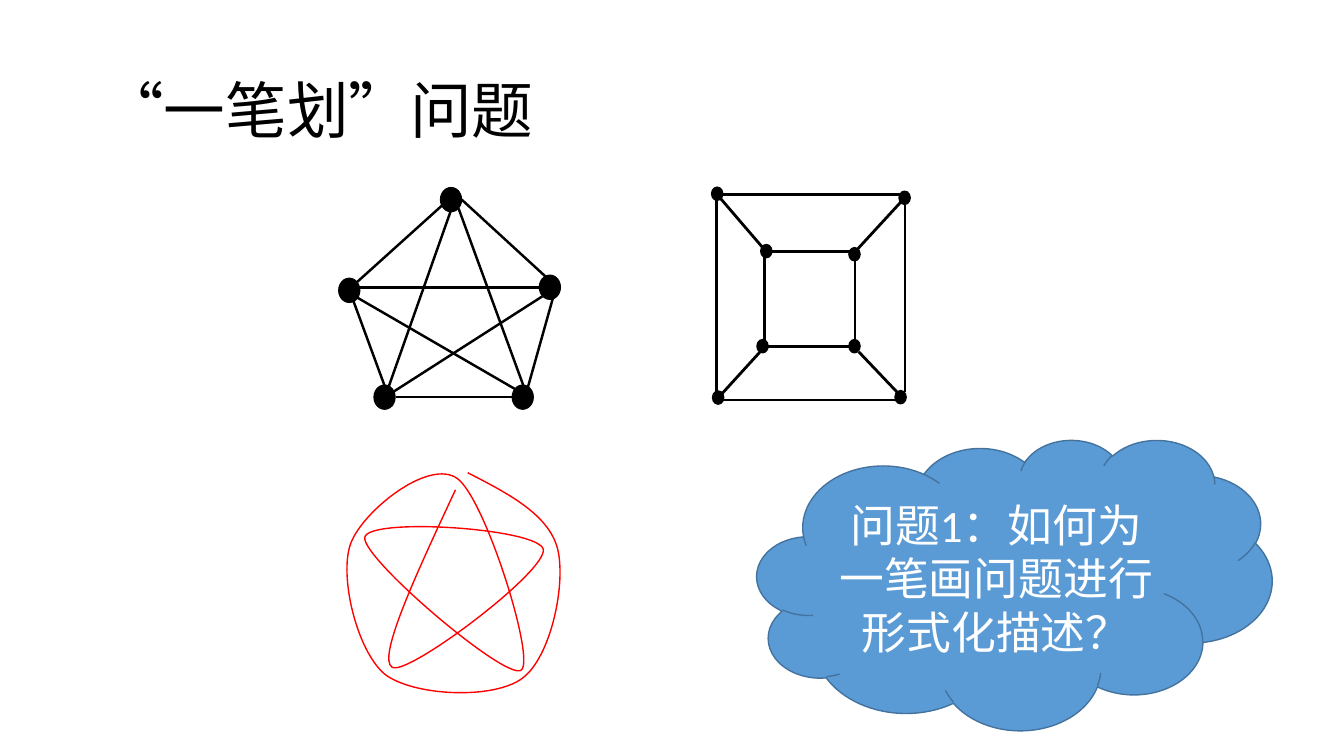
from lxml import etree
from pptx import Presentation
from pptx.dml.color import RGBColor
from pptx.enum.lang import MSO_LANGUAGE_ID
from pptx.enum.shapes import MSO_CONNECTOR, MSO_SHAPE
from pptx.enum.text import MSO_ANCHOR, PP_ALIGN
from pptx.oxml.ns import qn
from pptx.util import Pt

STRAIGHT = MSO_CONNECTOR.STRAIGHT
OVAL, FLOW_DOT, CLOUD = MSO_SHAPE.OVAL, MSO_SHAPE.FLOWCHART_CONNECTOR, MSO_SHAPE.CLOUD
MIDDLE = MSO_ANCHOR.MIDDLE
LEFT, CENTER = PP_ALIGN.LEFT, PP_ALIGN.CENTER
CHINESE = MSO_LANGUAGE_ID.SIMPLIFIED_CHINESE

BLACK = RGBColor(0, 0, 0)
WHITE = RGBColor(255, 255, 255)
RED = RGBColor(255, 0, 0)
BLUE = RGBColor(0x5B, 0x9B, 0xD5)
DARK_BLUE = RGBColor(0x43, 0x73, 0x9E)

STAR_NODES = [(322.2, 142.6), (392.8, 205.2), (373.4, 283.7), (274.7, 283.7), (249.5, 207.4)]
STAR_EDGES = [
    ((275, 283.7), (387.4, 211.7)),
    ((283, 283.7), (365.8, 283.7)),
    ((254.9, 201.6), (327.6, 136.1)),
    ((329.8, 142.6), (390.2, 198)),
    ((375.1, 283.7), (395.3, 211.7)),
    ((252, 213.8), (280.1, 290.2)),
    ((255.6, 205.2), (400.3, 205.2)),
    ((275, 283.7), (321.8, 151.2)),
    ((327.6, 149), (373.7, 275)),
    ((254.9, 212.4), (367.9, 277.9)),
]
SQUARE_NODES = [
    (512.3, 138.4), (513, 284), (643.3, 283.7), (646.2, 141.3),
    (547.4, 179.4), (610.4, 181.6), (544.7, 247.3), (610.4, 247.3),
]
SQUARE_EDGES = [
    ((516.2, 138.8), (644.4, 138.8)),
    ((515.5, 285.7), (639.4, 285.7)),
    ((512, 142.6), (512, 281.5)),
    ((646.4, 144.7), (646.4, 280.1)),
    ((550.8, 179.8), (607.7, 179.8)),
    ((548.6, 247.5), (606.2, 247.5)),
    ((546, 182.9), (546, 243.4)),
    ((610.7, 184.3), (610.7, 244.8)),
    ((514.1, 141.1), (545, 177.1)),
    ((543.6, 250.6), (514.1, 283)),
    ((612.7, 177.8), (644.4, 143.3)),
    ((613.4, 251.3), (640.8, 280.1)),
]
STROKE_START = (325.4, 349.9)
STROKE_CURVES = [
    ((297.4, 409.7), (269.3, 470.2), (280.1, 476.6)),
    ((290.2, 483.8), (391, 408.2), (388.1, 392.4)),
    ((384.5, 377.3), (263.5, 369.4), (260.6, 383.8)),
    ((257.8, 398.2), (360.7, 486), (372.2, 478.8)),
    ((383, 472.3), (347, 357.1), (326.9, 342)),
    ((306.7, 326.9), (259.2, 365), (250.6, 388.1)),
    ((241.9, 411.1), (254.9, 465.1), (275, 481.7)),
    ((295.9, 497.5), (352.8, 499.7), (373, 484.6)),
    ((393.8, 469.4), (404.6, 416.2), (398.2, 391.7)),
    ((391.7, 367.2), (362.2, 352.1), (334.1, 337.7)),
]


def style_line(line, color, width):
    """Give a line its colour and width."""
    line.color.rgb = color
    line.width = Pt(width)


def add_filled(shapes, kind, frame, fill, outline, width):
    """Add a preset shape with a solid fill and no shadow."""
    shape = shapes.add_shape(kind, *map(Pt, frame))
    shape.shadow.inherit = False
    shape.fill.solid()
    shape.fill.fore_color.rgb = fill
    style_line(shape.line, outline, width)
    return shape


def add_edge(shapes, start, end, width):
    """Add a straight black edge without a shadow."""
    edge = shapes.add_connector(STRAIGHT, *map(Pt, start + end))
    style_line(edge.line, BLACK, width)
    etree.SubElement(edge._element.spPr, qn("a:effectLst"))


def add_graph(page, kind, nodes, edges, node_size, outline, edge_width):
    """Add a group of round nodes, placed by centre, and their edges."""
    shapes = page.shapes.add_group_shape().shapes
    width, height = node_size
    for x, y in nodes:
        frame = (x - width / 2, y - height / 2, width, height)
        add_filled(shapes, kind, frame, BLACK, BLACK, outline)
    for start, end in edges:
        add_edge(shapes, start, end, edge_width)


def bend_segments(shape):
    """Turn every three straight segments into one cubic curve."""
    segments = list(shape._element.iter(qn("a:lnTo")))
    for first in range(0, len(segments), 3):
        curve = etree.Element(qn("a:cubicBezTo"))
        segments[first].addprevious(curve)
        for segment in segments[first:first + 3]:
            curve.append(segment[0])
            segment.getparent().remove(segment)


def add_stroke(page, start, curves):
    """Add the single red pen stroke as an open curve."""
    builder = page.shapes.build_freeform(*map(Pt, start))
    points = [tuple(map(Pt, point)) for curve in curves for point in curve]
    builder.add_line_segments(points, close=False)
    stroke = builder.convert_to_shape()
    bend_segments(stroke)
    stroke.shadow.inherit = False
    stroke.fill.background()
    style_line(stroke.line, RED, 1)


def write_text(box, text, size, color, align, spacing):
    """Write one paragraph, centred vertically, into a box."""
    para = box.text_frame.paragraphs[0]
    span = para.add_run()
    span.text = text
    span.font.color.rgb = color
    formats = [
        (box.text_frame, {"word_wrap": True, "vertical_anchor": MIDDLE}),
        (para, {"alignment": align, "line_spacing": spacing}),
        (span.font, {"name": "Calibri", "size": Pt(size), "language_id": CHINESE}),
    ]
    for target, values in formats:
        for name, value in values.items():
            setattr(target, name, value)


def main():
    """Build the slide and save it."""
    deck = Presentation()
    deck.slide_width, deck.slide_height = Pt(960), Pt(540)
    page = deck.slides.add_slide(deck.slide_layouts[6])

    title = page.shapes.add_textbox(Pt(66), Pt(28.75), Pt(828), Pt(104.4))
    write_text(title, "“一笔划”问题", 44, BLACK, LEFT, 0.9)

    add_stroke(page, STROKE_START, STROKE_CURVES)
    add_graph(page, FLOW_DOT, STAR_NODES, STAR_EDGES, (15.2, 17.4), 0.75, 1.75)
    add_graph(page, OVAL, SQUARE_NODES, SQUARE_EDGES, (8, 9.4), 1, 2)

    cloud = add_filled(page.shapes, CLOUD, (540.7, 313.9, 367.9, 207.4), BLUE, DARK_BLUE, 1)
    write_text(cloud, "问题1：如何为一笔画问题进行形式化描述？", 32, WHITE, CENTER, 1.0)

    deck.save("out.pptx")


main()
